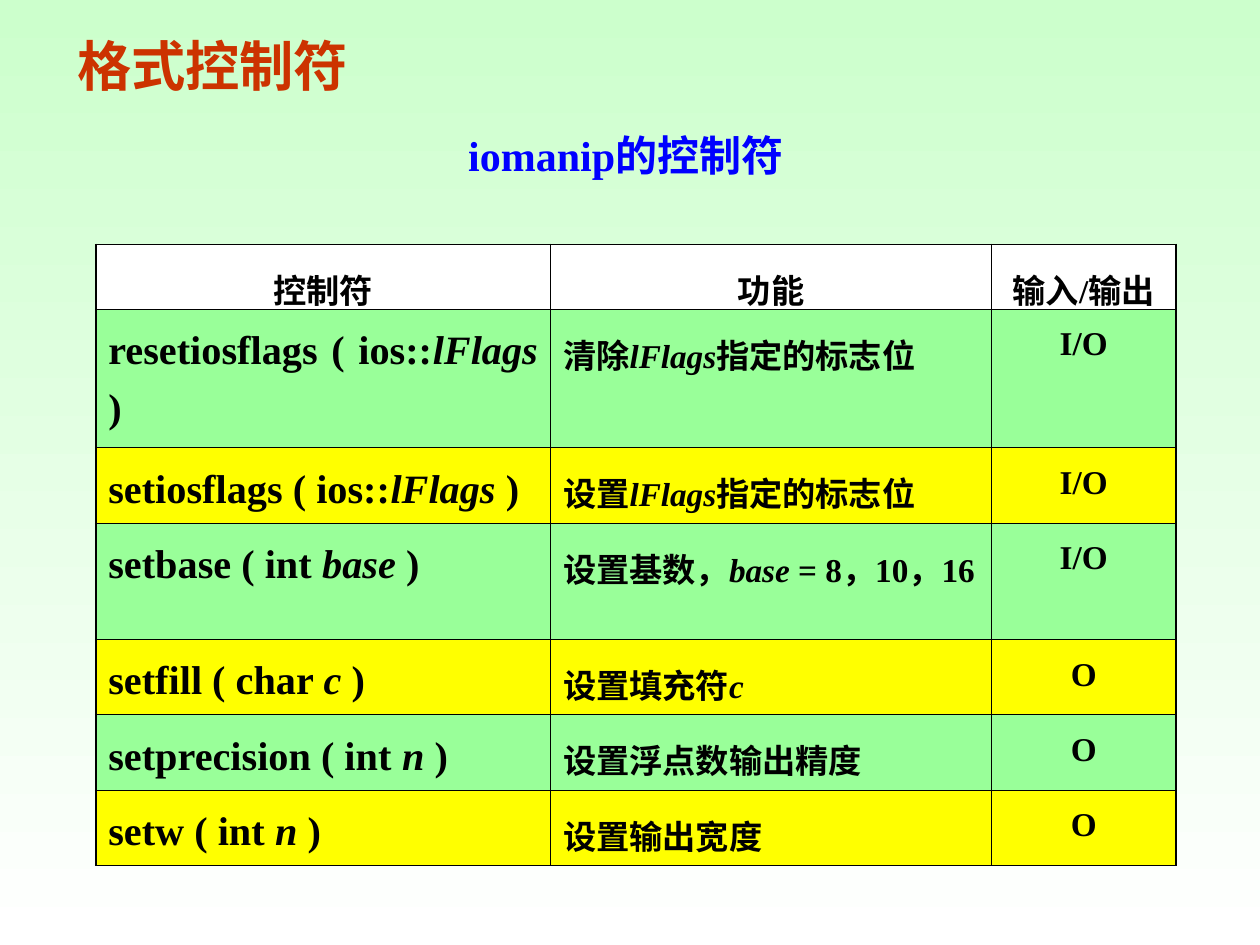
from lxml import etree
from pptx import Presentation
from pptx.dml.color import RGBColor
from pptx.enum.text import MSO_ANCHOR, MSO_AUTO_SIZE, PP_ALIGN
from pptx.oxml.ns import qn
from pptx.util import Cm, Pt

LEFT, CENTER, RIGHT, JUSTIFY = PP_ALIGN.LEFT, PP_ALIGN.CENTER, PP_ALIGN.RIGHT, PP_ALIGN.JUSTIFY
TOP, MIDDLE = MSO_ANCHOR.TOP, MSO_ANCHOR.MIDDLE
NO_FIT, GROW = MSO_AUTO_SIZE.NONE, MSO_AUTO_SIZE.SHAPE_TO_FIT_TEXT
CJK, SERIF = "Noto Sans CJK SC", "Times New Roman"


def rgb(value):
    return RGBColor.from_string(value)


def add_run(paragraph, text, size, color="000000", latin=SERIF, italic=False):
    run = paragraph.add_run()
    run.text = text
    font = run.font
    font.size, font.bold, font.italic, font.name = Pt(size), True, italic, latin
    font.color.rgb = rgb(color)
    etree.SubElement(font._element, qn("a:ea"), typeface=CJK)


presentation = Presentation()
presentation.slide_width, presentation.slide_height = Cm(25.4), Cm(19.05)
slide = presentation.slides.add_slide(presentation.slide_layouts[5])

backdrop = slide.background.fill
backdrop.gradient()
backdrop.gradient_angle = 270
for stop, color in zip(backdrop.gradient_stops, ("CCFFCC", "FFFFFF")):
    stop.color.rgb = rgb(color)

title = slide.shapes.title
title.left, title.top, title.width, title.height = Cm(1.3), Cm(0.53), Cm(22.23), Cm(2)
title.text_frame.auto_size = NO_FIT
title.text_frame.vertical_anchor = TOP
heading = title.text_frame.paragraphs[0]
heading.alignment = LEFT
add_run(heading, "格式控制符", 31, "CC3300", CJK)

subtitle = slide.shapes.add_textbox(Cm(6.91), Cm(2.49), Cm(9.32), Cm(1.27))
subtitle.text_frame.word_wrap = True
subtitle.text_frame.auto_size = GROW
caption = subtitle.text_frame.paragraphs[0]
caption.alignment = RIGHT
add_run(caption, "iomanip的控制符 ", 24, "0000FF")

# Runs at odd positions within a cell are italic parameter names.
manipulators = [
    (["控制符"], ["功能"], ["输入/输出"]),
    (["resetiosflags ( ios::", "lFlags ", ")"], ["清除", "lFlags", "指定的标志位"], ["I/O"]),
    (["setiosflags ( ios::", "lFlags ", ")"], ["设置", "lFlags", "指定的标志位"], ["I/O"]),
    (["setbase ( int ", "base", " )"], ["设置基数，", "base", " = 8，10，16"], ["I/O"]),
    (["setfill ( char ", "c ", ")"], ["设置填充符", "c"], ["O"]),
    (["setprecision ( int ", "n", " )"], ["设置浮点数输出精度"], ["O"]),
    (["setw ( int ", "n", " )"], ["设置输出宽度"], ["O"]),
]
column_widths = [9.17, 8.89, 3.71]
row_heights = [1.3, 2.79, 1.52, 2.34, 1.52, 1.52, 1.52]
last_row, last_column = len(row_heights) - 1, len(column_widths) - 1

table = slide.shapes.add_table(
    len(row_heights), len(column_widths), Cm(1.93), Cm(4.93),
    Cm(sum(column_widths)), Cm(sum(row_heights))).table
table.first_row = table.horz_banding = False
for column, width in zip(table.columns, column_widths):
    column.width = Cm(width)
for row, height in zip(table.rows, row_heights):
    row.height = Cm(height)

for r, entries in enumerate(manipulators):
    row_color = "FFFFFF" if r == 0 else ("FFFF00", "99FF99")[r % 2]
    for c, parts in enumerate(entries):
        cell = table.cell(r, c)
        properties = cell._tc.get_or_add_tcPr()
        outer_edges = {"L": c == 0, "R": c == last_column, "T": r == 0, "B": r == last_row}
        for side, is_outer in outer_edges.items():
            border = etree.SubElement(properties, qn("a:ln" + side),
                                      w=str(Pt(1.08 if is_outer else 0.45)))
            border_fill = etree.SubElement(border, qn("a:solidFill"))
            etree.SubElement(border_fill, qn("a:srgbClr"), val="000000")
        cell.fill.solid()
        cell.fill.fore_color.rgb = rgb(row_color)

        paragraph = cell.text_frame.paragraphs[0]
        paragraph.line_spacing = 1.3
        paragraph.alignment = CENTER if r == 0 or c == last_column else LEFT
        if (r, c) == (1, 0):
            paragraph.alignment = JUSTIFY
        size = 23 if r > 0 and c == 0 else 19
        for position, text in enumerate(parts):
            add_run(paragraph, text, size, italic=position % 2 == 1)

presentation.save("out.pptx")
